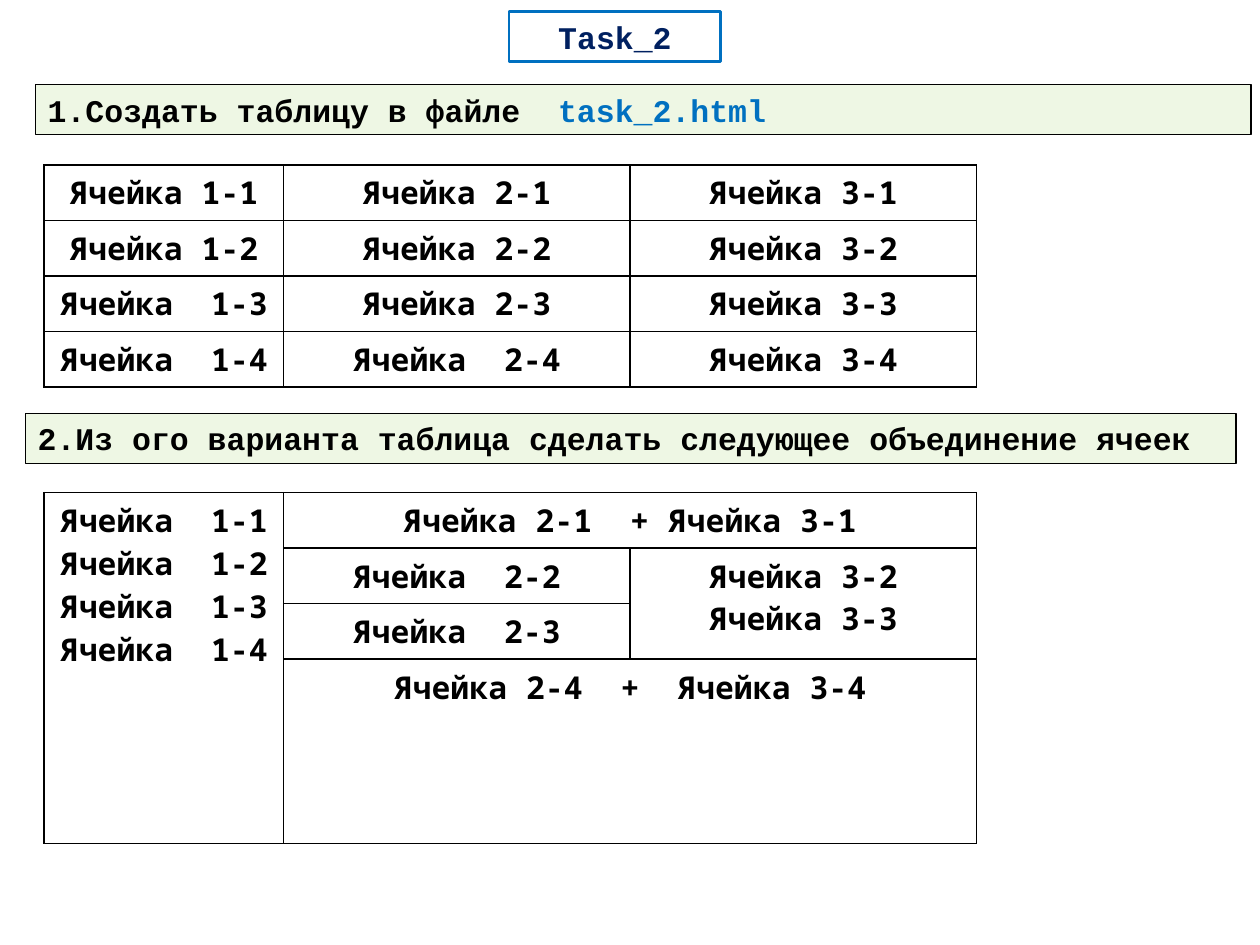
from pptx import Presentation
from pptx.dml.color import RGBColor
from pptx.enum.shapes import MSO_SHAPE
from pptx.enum.text import MSO_ANCHOR, PP_ALIGN
from pptx.oxml.ns import qn
from pptx.util import Inches, Pt
from lxml.etree import SubElement

BLACK = RGBColor(0x00, 0x00, 0x00)
NAVY = RGBColor(0x00, 0x20, 0x60)
BLUE = RGBColor(0x00, 0x70, 0xC0)
GREEN = RGBColor(0x92, 0xD0, 0x50)

# Content: runs are (text, colour); cells are (row, column, rows, columns, lines)
TITLE = [("Task_2", NAVY)]
TASKS = [
    ((0.28, 0.67, 9.65, 0.4),
     [("1.Cоздать таблицу в файле  ", BLACK), ("task_2.html", BLUE)]),
    ((0.2, 3.28, 9.61, 0.4),
     [("2.Из ого варианта таблица сделать следующее объединение ячеек", BLACK)]),
]
PLAIN = [
    ["Ячейка 1-1", "Ячейка 2-1", "Ячейка 3-1"],
    ["Ячейка 1-2", "Ячейка 2-2", "Ячейка 3-2"],
    ["Ячейка  1-3", "Ячейка 2-3", "Ячейка 3-3"],
    ["Ячейка  1-4", "Ячейка  2-4", "Ячейка 3-4"],
]
MERGED = [
    (0, 0, 4, 1, "Ячейка  1-1\nЯчейка  1-2\nЯчейка  1-3\nЯчейка  1-4"),
    (0, 1, 1, 2, "Ячейка 2-1  + Ячейка 3-1"),
    (1, 1, 1, 1, "Ячейка  2-2"),
    (1, 2, 2, 1, "Ячейка 3-2\nЯчейка 3-3"),
    (2, 1, 1, 1, "Ячейка  2-3"),
    (3, 1, 1, 2, "Ячейка 2-4  +  Ячейка 3-4"),
]
COLS = (1.9, 2.75, 2.75)

deck = Presentation()
deck.slide_width, deck.slide_height = Inches(10), Inches(7.5)
slide = deck.slides.add_slide(deck.slide_layouts[6])


def style(para, face, align):
    para.alignment = align
    para.font.name, para.font.size, para.font.bold = face, Pt(18), True


def add_box(place, runs, line, width, align, anchor, tint=None):
    box = slide.shapes.add_shape(MSO_SHAPE.RECTANGLE, *map(Inches, place))
    box.shadow.inherit = False
    box.line.color.rgb, box.line.width = line, Pt(width)
    if tint is None:
        box.fill.background()
    else:
        box.fill.solid()
        box.fill.fore_color.rgb = tint
        color = box.fill._xPr.find(qn("a:solidFill"))[0]
        SubElement(color, qn("a:alpha"), val="15000")
    frame = box.text_frame
    frame.word_wrap, frame.vertical_anchor = True, anchor
    para = frame.paragraphs[0]
    style(para, "Courier New", align)
    for text, color in runs:
        run = para.add_run()
        run.text, run.font.color.rgb = text, color


def add_border(cell):
    props = cell._tc.get_or_add_tcPr()
    for side in ("lnL", "lnR", "lnT", "lnB"):
        edge = SubElement(props, qn(f"a:{side}"), w=str(Pt(1)))
        fill = SubElement(edge, qn("a:solidFill"))
        SubElement(fill, qn("a:srgbClr"), val=str(BLACK))


def add_grid(top, cells):
    table = slide.shapes.add_table(
        4, len(COLS), Inches(0.35), Inches(top), Inches(sum(COLS)), Inches(1.62)).table
    table.first_row = table.horz_banding = False
    for col, width in zip(table.columns, COLS):
        col.width = Inches(width)
    for row, col, down, across, text in cells:
        cell = table.cell(row, col)
        if down * across > 1:
            cell.merge(table.cell(row + down - 1, col + across - 1))
        cell.text = text
    for cell in table.iter_cells():
        add_border(cell)
        cell.fill.background()
        for para in cell.text_frame.paragraphs:
            style(para, "Noto Sans Mono", PP_ALIGN.CENTER)
            para.font.color.rgb = BLACK


# Title and task lines
add_box((4.04, 0.09, 1.68, 0.4), TITLE, BLUE, 1.5, PP_ALIGN.CENTER, MSO_ANCHOR.MIDDLE)
for place, runs in TASKS:
    add_box(place, runs, BLACK, 0.75, PP_ALIGN.LEFT, MSO_ANCHOR.TOP, GREEN)

# Plain and merged tables
add_grid(1.31, [(r, c, 1, 1, text) for r, line in enumerate(PLAIN)
                for c, text in enumerate(line)])
add_grid(3.91, MERGED)

deck.save("out.pptx")
